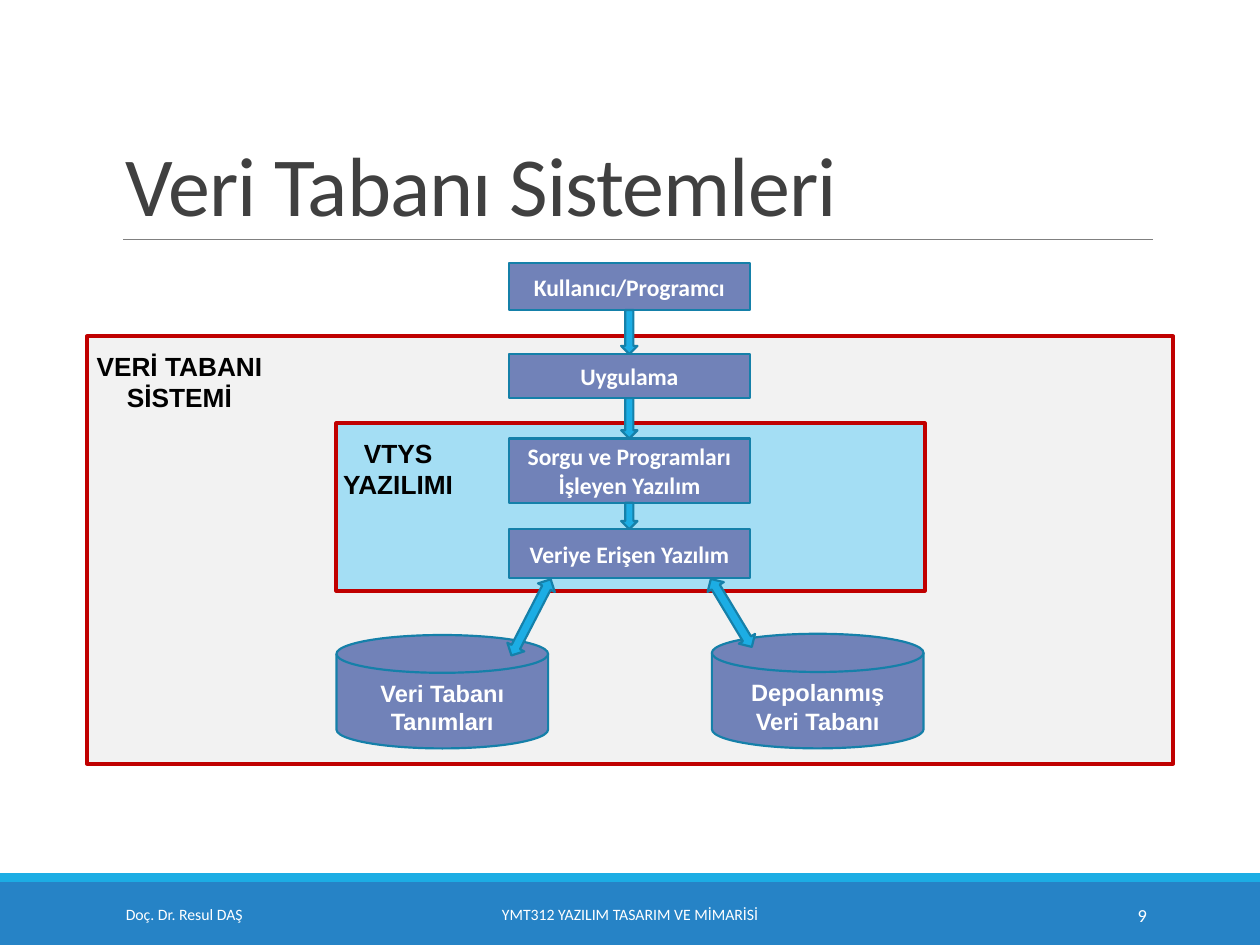
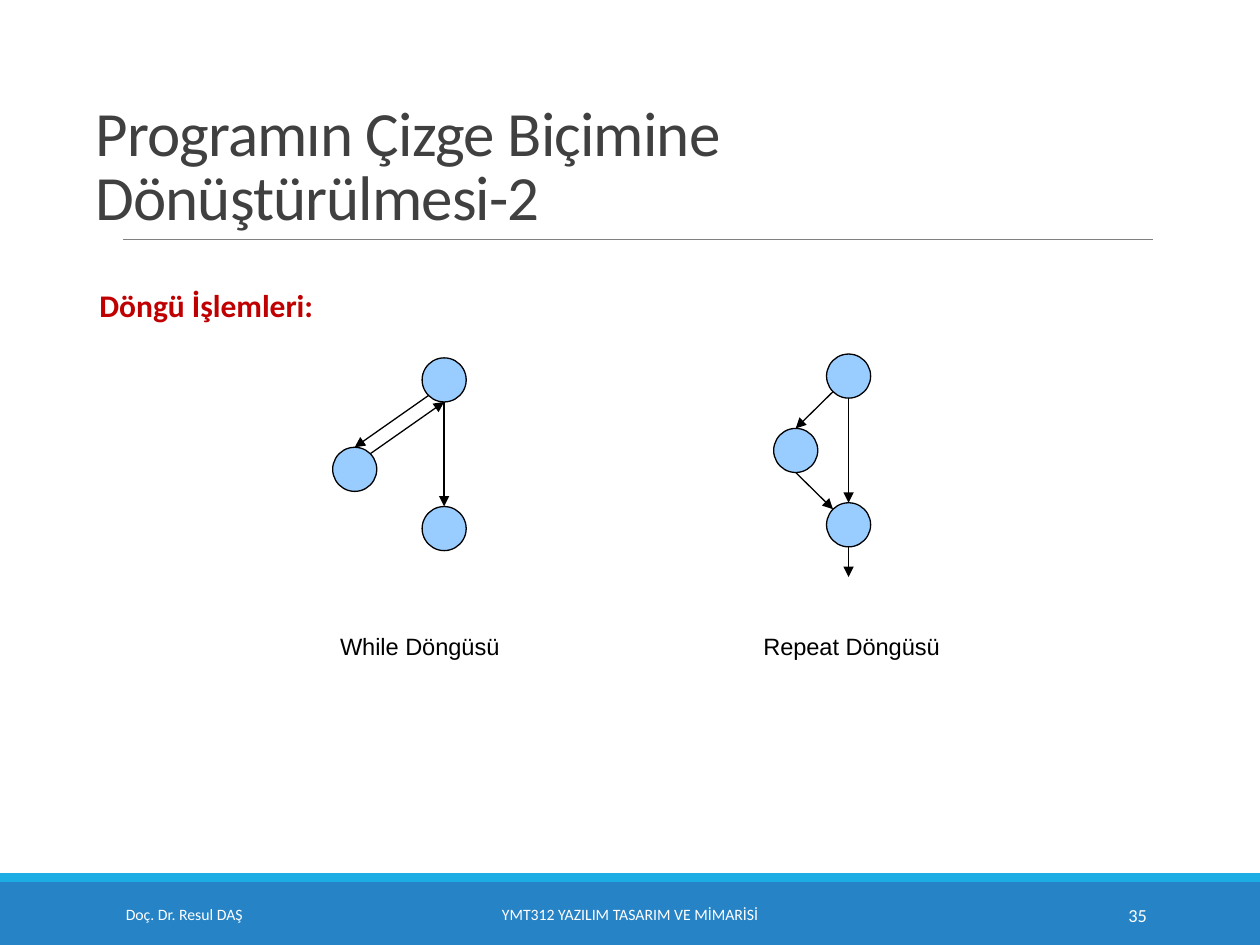
import math
from dataclasses import dataclass

from lxml import etree
from pptx import Presentation
from pptx import util as u
from pptx.dml.color import RGBColor
from pptx.enum import shapes, text
from pptx.oxml.ns import qn

Inches = u.Inches
SHAPE = shapes.MSO_SHAPE
ALIGN = text.PP_ALIGN
ANCHOR = text.MSO_ANCHOR


@dataclass(frozen=True)
class Theme:
    heading_font: str = "Calibri"
    diagram_font: str = "Arial"
    white: str = "FFFFFF"
    black: str = "000000"
    title: str = "404040"
    rule: str = "808080"
    band: str = "2683C6"
    accent: str = "1CADE4"
    accent_line: str = "1580A9"
    box: str = "7182B8"
    red: str = "C00000"
    system: str = "F2F2F2"
    software: str = "A4DEF4"
    node: str = "99CCFF"
    title_size: float = 48
    long_title_size: float = 36
    subtitle_size: float = 18
    label_size: float = 15
    body_size: float = 13.5
    number_size: float = 10.5
    footer_size: float = 9
    rule_width: float = 0.5
    edge_width: float = 0.75
    box_width: float = 1.25
    frame_width: float = 2.25


THEME = Theme()
NODE_SIZE = 0.35
TOP, BOTTOM_LEFT, BOTTOM, TOP_RIGHT, TOP_LEFT = 0, 3, 4, 7, 1


def rgb(value):
    return RGBColor.from_string(value)


def write(shape, content, size, color, font=THEME.heading_font, bold=False,
          align=ALIGN.LEFT, anchor=ANCHOR.TOP, wrap=True, line_spacing=None):
    frame = shape.text_frame
    frame.text = content
    frame.word_wrap = wrap
    frame.vertical_anchor = anchor
    if not wrap:
        frame.auto_size = text.MSO_AUTO_SIZE.SHAPE_TO_FIT_TEXT
    font_format = {"name": font, "size": u.Pt(size), "bold": bold}
    for paragraph in frame.paragraphs:
        paragraph.alignment = align
        paragraph.line_spacing = line_spacing
        for run in paragraph.runs:
            for name, value in font_format.items():
                setattr(run.font, name, value)
            run.font.color.rgb = rgb(color)


def add_text(slide, place, content, size, color, **style):
    shape = slide.shapes.add_textbox(*map(Inches, place))
    write(shape, content, size, color, **style)
    return shape


def add_block(slide, kind, place, fill, line=None, width=THEME.box_width):
    shape = slide.shapes.add_shape(kind, *map(Inches, place))
    shape.shadow.inherit = False
    shape.fill.solid()
    shape.fill.fore_color.rgb = rgb(fill)
    if line:
        shape.line.color.rgb = rgb(line)
        shape.line.width = u.Pt(width)
    else:
        shape.line.fill.background()
    return shape


def add_line(slide, start, end, color, width, arrow=False):
    line = slide.shapes.add_connector(
        shapes.MSO_CONNECTOR.STRAIGHT, *map(Inches, (*start, *end)))
    line.line.color.rgb = rgb(color)
    line.line.width = u.Pt(width)
    if arrow:
        outline = line.line._get_or_add_ln()
        etree.SubElement(outline, qn("a:tailEnd"), type="triangle")
    etree.SubElement(line._element.spPr, qn("a:effectLst"))
    return line


def add_slide(presentation, title, title_place, title_size, number):
    slide = presentation.slides.add_slide(presentation.slide_layouts[6])
    add_block(slide, SHAPE.RECTANGLE, (0, 7, 10, 0.5), THEME.band)
    add_block(slide, SHAPE.RECTANGLE, (0, 6.93, 10, 0.07), THEME.accent)
    add_line(slide, (0.98, 1.9), (9.15, 1.9), THEME.rule, THEME.rule_width)
    heading = add_text(slide, title_place, title, title_size, THEME.title,
                       anchor=ANCHOR.BOTTOM, line_spacing=0.85)
    for run in heading.text_frame.paragraphs[0].runs:
        run.font._element.set("spc", "-50")
    footers = (
        (0.9, 2.03, "Doç. Dr. Resul DAŞ", THEME.footer_size, ALIGN.LEFT),
        (3.02, 3.96, "YMT312 YAZILIM TASARIM VE MİMARİSİ", THEME.footer_size, ALIGN.CENTER),
        (8.12, 1.08, str(number), THEME.number_size, ALIGN.RIGHT),
    )
    for left, width, content, size, align in footers:
        add_text(slide, (left, 7.06, width, 0.4), content, size, THEME.white,
                 align=align, anchor=ANCHOR.MIDDLE)
    return slide


def add_frame(slide, place, fill):
    add_block(slide, SHAPE.RECTANGLE, place, fill, THEME.red, THEME.frame_width)


def add_layers(slide, layers):
    for top, height, label in layers:
        box = add_block(slide, SHAPE.RECTANGLE, (4.04, top, 1.91, height),
                        THEME.box, THEME.accent_line)
        write(box, label, THEME.body_size, THEME.white, bold=True,
              align=ALIGN.CENTER, anchor=ANCHOR.MIDDLE)


def add_disk(slide, place, label):
    disk = add_block(slide, SHAPE.FLOWCHART_MAGNETIC_DISK, place,
                     THEME.box, THEME.accent_line)
    write(disk, label, THEME.body_size, THEME.white, THEME.diagram_font,
          bold=True, align=ALIGN.CENTER)


def add_arrow(slide, kind, place, rotation=0):
    arrow = add_block(slide, kind, place, THEME.accent, THEME.accent_line)
    arrow.rotation = rotation


def add_node(slide, left, top):
    return add_block(slide, SHAPE.OVAL, (left, top, NODE_SIZE, NODE_SIZE),
                     THEME.node, THEME.black, THEME.edge_width)


def node_point(node, site):
    angle = math.radians(90 + 45 * site)
    radius = NODE_SIZE / 2
    return (node.left.inches + radius * (1 + math.cos(angle)),
            node.top.inches + radius * (1 - math.sin(angle)))


def add_edge(slide, source, source_site, target, target_site):
    edge = add_line(slide, node_point(source, source_site),
                    node_point(target, target_site),
                    THEME.black, THEME.edge_width, arrow=True)
    if target_site == TOP:
        edge.end_connect(target, TOP)


def add_graph(slide, positions, edges):
    nodes = [add_node(slide, *position) for position in positions]
    for source, source_site, target, target_site in edges:
        add_edge(slide, nodes[source], source_site, nodes[target], target_site)
    return nodes


def build_database_systems(presentation):
    slide = add_slide(presentation, "Veri Tabanı Sistemleri",
                      (0.9, 0.31, 8.25, 1.59), THEME.title_size, 9)
    add_frame(slide, (0.69, 2.67, 8.62, 3.39), THEME.system)
    add_frame(slide, (2.67, 3.36, 4.67, 1.33), THEME.software)
    layers = (
        (2.09, 0.37, "Kullanıcı/Programcı"),
        (2.81, 0.35, "Uygulama"),
        (3.48, 0.51, "Sorgu ve Programları İşleyen Yazılım"),
        (4.2, 0.39, "Veriye Erişen Yazılım"),
    )
    add_layers(slide, layers)
    add_disk(slide, (2.67, 5.04, 1.68, 0.9), "Veri Tabanı Tanımları")
    add_disk(slide, (5.65, 5.03, 1.68, 0.91), "Depolanmış\nVeri Tabanı")
    for (top, height, _), (next_top, _, _) in zip(layers, layers[1:]):
        bottom = top + height
        add_arrow(slide, SHAPE.DOWN_ARROW, (4.93, bottom, 0.13, next_top - bottom))
    add_arrow(slide, SHAPE.UP_DOWN_ARROW, (4.14, 4.56, 0.15, 0.68), 27.3)
    add_arrow(slide, SHAPE.UP_DOWN_ARROW, (5.73, 4.55, 0.15, 0.63), 328.9)
    for place, label in (
        ((0.66, 2.73, 1.53, 0.61), "VERİ TABANI\nSİSTEMİ"),
        ((2.62, 3.42, 1.08, 0.61), "VTYS\nYAZILIMI"),
    ):
        add_text(slide, place, label, THEME.label_size, THEME.black,
                 font=THEME.diagram_font, bold=True, align=ALIGN.CENTER, wrap=False)


def build_loop_graphs(presentation):
    slide = add_slide(presentation, "Programın Çizge Biçimine Dönüştürülmesi-2",
                      (0.66, 0.31, 8.75, 1.59), THEME.long_title_size, 35)
    add_graph(slide, ((3.35, 2.84), (2.64, 3.55), (3.35, 4.02)), (
        (0, BOTTOM_LEFT, 1, TOP),
        (1, TOP_RIGHT, 0, BOTTOM),
        (0, BOTTOM, 2, TOP),
    ))
    repeat_nodes = add_graph(slide, ((6.56, 2.81), (6.14, 3.4), (6.56, 3.99)), (
        (0, BOTTOM_LEFT, 1, TOP),
        (1, BOTTOM, 2, TOP_LEFT),
        (0, BOTTOM, 2, TOP),
    ))
    exit_x, exit_y = node_point(repeat_nodes[-1], BOTTOM)
    add_line(slide, (exit_x, exit_y), (exit_x, 4.58),
             THEME.black, THEME.edge_width, arrow=True)
    for left, width, label in ((2.6, 1.49, "While Döngüsü"),
                               (5.96, 1.62, "Repeat Döngüsü")):
        add_text(slide, (left, 4.97, width, 0.33), label, THEME.body_size,
                 THEME.black, font=THEME.diagram_font, wrap=False)
    add_text(slide, (0.69, 2.22, 1.91, 0.4), "Döngü İşlemleri:",
             THEME.subtitle_size, THEME.red, bold=True, wrap=False)


def main():
    presentation = Presentation()
    presentation.slide_width = Inches(10)
    presentation.slide_height = Inches(7.5)
    build_database_systems(presentation)
    build_loop_graphs(presentation)
    presentation.save("out.pptx")


if __name__ == "__main__":
    main()
